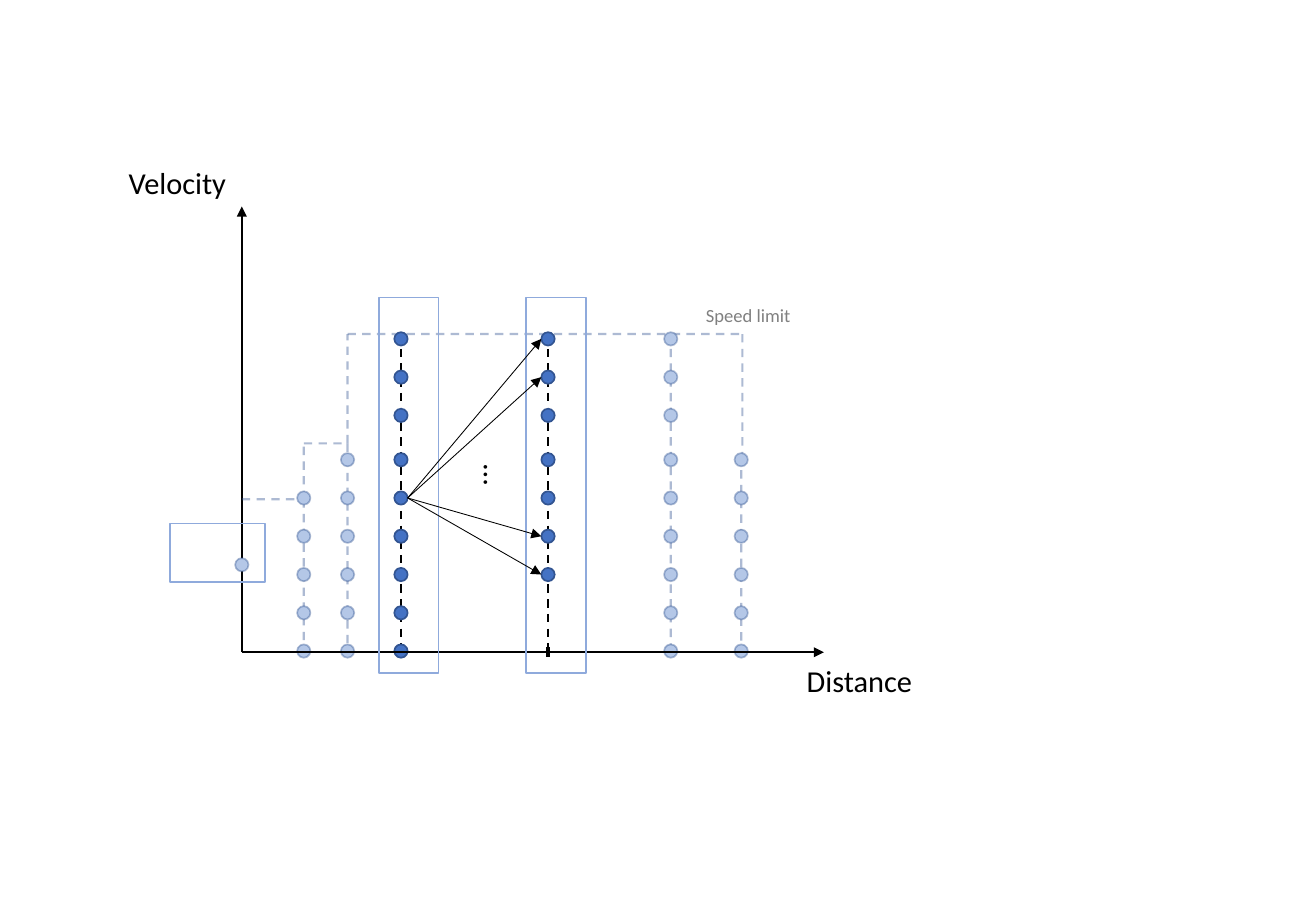
from collections import namedtuple

from lxml import etree
from pptx import Presentation
from pptx.dml.color import RGBColor
from pptx.enum.dml import MSO_LINE_DASH_STYLE as Dash
from pptx.enum.shapes import MSO_CONNECTOR as Connector, MSO_SHAPE as Preset
from pptx.oxml.ns import qn
from pptx.util import Inches, Pt

COLORS = {
    "black": "000000",
    "gray": "808080",
    "outline": "325491",
    "pale": "B4C7E7",
    "strong": "4472C4",
    "frame": "8FAADC",
}
FADED = 40
DOT = 0.11
LEVELS = [0.01 + 0.315 * i for i in range(6)] + [1.95 + 0.315 * i for i in range(3)]
SPEED_LIMIT = [
    (0, 1.26), (0.51, 1.26), (0.51, 1.72), (0.87, 1.72),
    (0.87, 2.62), (4.12, 2.62), (4.12, 1.62),
]

Box = namedtuple("Box", "left top width height")
Stage = namedtuple("Stage", "distance top levels active")

STAGES = [
    Stage(0.51, 1.26, LEVELS[:5], False),
    Stage(0.87, 1.72, LEVELS[:6], False),
    Stage(1.31, 2.62, LEVELS, True),
    Stage(2.52, 2.62, LEVELS[2:], True),
    Stage(3.53, 2.62, LEVELS, False),
    Stage(4.11, 1.62, LEVELS[:6], False),
]


def color(name):
    """Return the named colour."""
    return RGBColor.from_string(COLORS[name])


def style_line(line, name, width, alpha=100):
    """Set the colour, width and opacity of a line."""
    line.color.rgb = color(name)
    line.width = Pt(width)
    if alpha < 100:
        fill = line._get_or_add_ln().find(qn("a:solidFill"))
        etree.SubElement(fill[0], qn("a:alpha"), val=str(alpha * 1000))


def add_text(slide, text, box, size=18, name="black", rotation=0):
    """Add a single line of text in the given box."""
    shape = slide.shapes.add_textbox(*map(Inches, box))
    shape.rotation = rotation
    shape.text_frame.word_wrap = True
    paragraph = shape.text_frame.paragraphs[0]
    paragraph.text = text
    paragraph.font.name = "Calibri"
    paragraph.font.size = Pt(size)
    paragraph.font.color.rgb = color(name)


def add_line(slide, box, start, end, name="black", width=1.0, alpha=100,
             dashed=False, arrow=False):
    """Draw a line between two (distance, velocity) points of the graph."""
    baseline = box.top + box.height
    ends = [Inches(value) for distance, velocity in (start, end)
            for value in (box.left + distance, baseline - velocity)]
    connector = slide.shapes.add_connector(Connector.STRAIGHT, *ends)
    style_line(connector.line, name, width, alpha)
    if dashed:
        connector.line.dash_style = Dash.DASH
    if arrow:
        etree.SubElement(connector.line._get_or_add_ln(), qn("a:tailEnd"), type="triangle")
    etree.SubElement(connector._element.spPr, qn("a:effectLst"))


def add_shape(slide, preset, box, line, fill=None, alpha=100):
    """Add an outlined shape, filled if a fill is named."""
    shape = slide.shapes.add_shape(preset, *map(Inches, box))
    shape.shadow.inherit = False
    if fill:
        shape.fill.solid()
        shape.fill.fore_color.rgb = color(fill)
    else:
        shape.fill.background()
    style_line(shape.line, line, 1, alpha)


def add_dot(slide, box, distance, velocity, active=False):
    """Add a state dot centred on a point of the graph."""
    left = box.left + distance - DOT / 2
    top = box.top + box.height - velocity - DOT / 2
    add_shape(slide, Preset.OVAL, Box(left, top, DOT, DOT), "outline",
              "strong" if active else "pale", 100 if active else FADED)


def draw_speed_limit(slide, box):
    """Draw the stepped speed limit and its label."""
    for start, end in zip(SPEED_LIMIT, SPEED_LIMIT[1:]):
        add_line(slide, box, start, end, "outline", 1.25, FADED, dashed=True)
    add_text(slide, "Speed limit", Box(box.left + 3.72, box.top + 0.75, 0.99, 0.29),
             size=11, name="gray")


def draw_stages(slide, box):
    """Draw the dashed columns, their ticks and their state dots."""
    for stage in STAGES:
        add_line(slide, box, (stage.distance, stage.top), (stage.distance, 0),
                 "black" if stage.active else "outline", 1.25,
                 100 if stage.active else FADED, dashed=True)
    for stage in STAGES:
        add_line(slide, box, (stage.distance, 0.04), (stage.distance, -0.04), width=2)
    for stage in STAGES:
        for velocity in stage.levels:
            add_dot(slide, box, stage.distance, velocity, stage.active)


def draw_frames(slide, box):
    """Frame the active stages and the starting state."""
    for stage in STAGES:
        if stage.active:
            frame = Box(box.left + stage.distance - 0.18, box.top + 0.75, 0.49, 3.09)
            add_shape(slide, Preset.RECTANGLE, frame, "frame")
    start = Box(box.left - 0.59, box.top + 2.61, 0.78, 0.48)
    add_shape(slide, Preset.RECTANGLE, start, "frame")


def draw_transitions(slide, box):
    """Draw the arrows from one state to the states of the next stage."""
    source, target = [stage.distance for stage in STAGES if stage.active]
    start = (source + DOT / 2, LEVELS[4])
    for level in (3, 2, 7, 8):
        add_line(slide, box, start, (target - DOT / 2, LEVELS[level]), width=0.5, arrow=True)
    add_text(slide, "…", Box(box.left + 1.97, box.top + 1.95, 0.24, 0.4), rotation=90)


def draw_graph(slide, box):
    """Draw the whole velocity and distance graph in the box."""
    add_text(slide, "Velocity", Box(box.left - 1.03, box.top - 0.4, 1.14, 0.4))
    add_line(slide, box, (0, 0), (0, box.height), arrow=True)
    draw_speed_limit(slide, box)
    draw_stages(slide, box)
    add_line(slide, box, (0, 0), (box.width, 0), arrow=True)
    add_text(slide, "Distance",
             Box(box.left + box.width - 0.24, box.top + box.height + 0.03, 1.14, 0.4))
    add_dot(slide, box, 0, 0.72)
    draw_frames(slide, box)
    draw_transitions(slide, box)


def main():
    """Build and save the presentation."""
    presentation = Presentation()
    presentation.slide_width = Inches(10.83)
    presentation.slide_height = Inches(7.5)
    slide = presentation.slides.add_slide(presentation.slide_layouts[6])
    draw_graph(slide, Box(1.99, 1.7, 4.79, 3.67))
    presentation.save("out.pptx")


if __name__ == "__main__":
    main()
